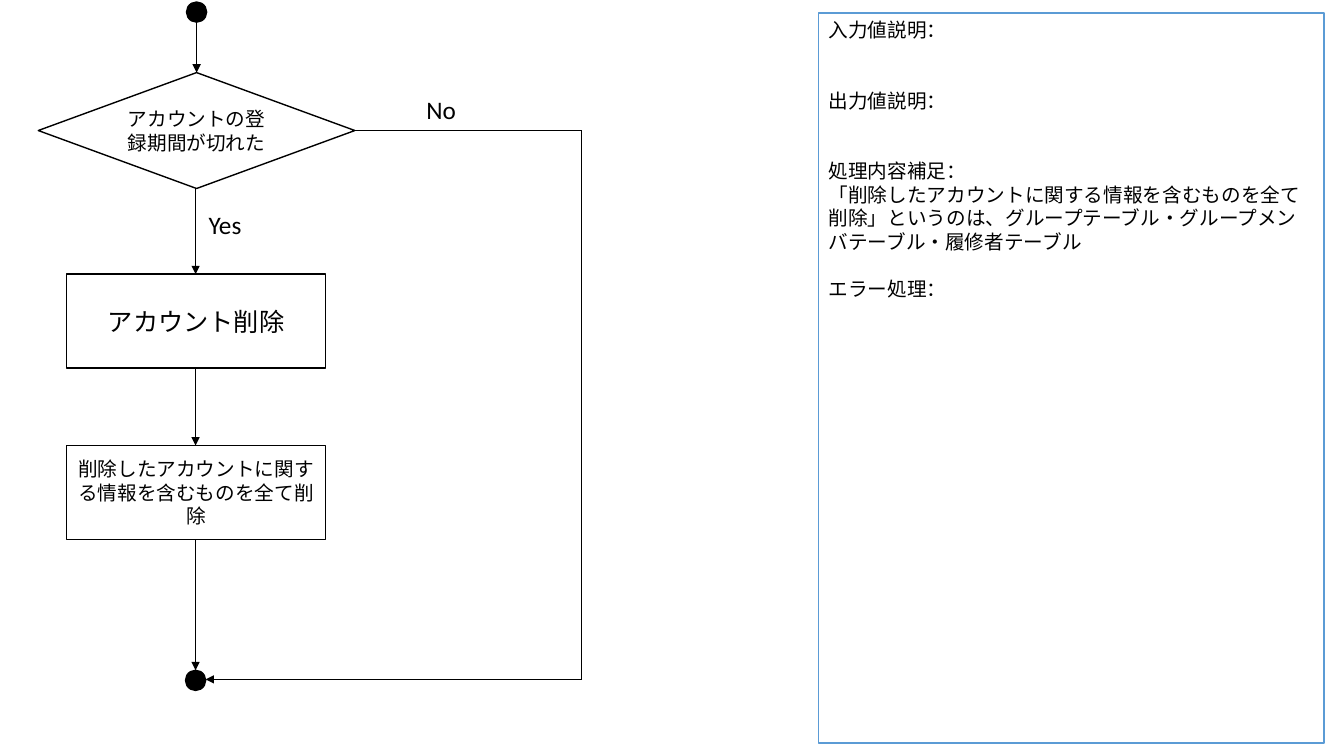
"""Build the account deletion flowchart slide."""
import pptx
import pptx.dml.color
import pptx.enum.shapes
import pptx.enum.text
import pptx.oxml.ns
import pptx.util
from lxml import etree

Inches = pptx.util.Inches
Pt = pptx.util.Pt
Shapes = pptx.enum.shapes.MSO_SHAPE
Align = pptx.enum.text.PP_ALIGN
Anchor = pptx.enum.text.MSO_ANCHOR
qn = pptx.oxml.ns.qn


def color(value):
    return pptx.dml.color.RGBColor.from_string(value)


def apply(target, values):
    for name, value in values.items():
        setattr(target, name, value)


class FlowSlide:
    font_name = "Calibri"
    ink = "000000"
    paper = "FFFFFF"

    def __init__(self, presentation):
        self.slide = presentation.slides.add_slide(presentation.slide_layouts[6])

    def add_text(self, shape, paragraphs, size, align, anchor):
        frame = shape.text_frame
        apply(frame, {"word_wrap": True, "vertical_anchor": anchor})
        for index, (text, space) in enumerate(paragraphs):
            paragraph = frame.add_paragraph() if index else frame.paragraphs[0]
            apply(paragraph, {"alignment": align, "space_before": Pt(space)})
            run = paragraph.add_run()
            run.text = text
            apply(run.font, {"name": self.font_name, "size": Pt(size)})
            run.font.color.rgb = color(self.ink)

    def shape(self, kind, box, fill=paper, line=ink):
        shape = self.slide.shapes.add_shape(kind, *map(Inches, box))
        shape.shadow.inherit = False
        shape.fill.solid()
        shape.fill.fore_color.rgb = color(fill)
        shape.line.color.rgb = color(line)
        shape.line.width = Pt(1)
        return shape

    def dot(self, left, top):
        self.shape(Shapes.OVAL, (left, top, 0.2, 0.2), fill=self.ink)

    def step(self, kind, box, text, size):
        shape = self.shape(kind, box)
        self.add_text(shape, [(text, 0)], size, Align.CENTER, Anchor.MIDDLE)

    def note(self, box, paragraphs, line):
        shape = self.shape(Shapes.FLOWCHART_PROCESS, box, line=line)
        self.add_text(shape, paragraphs, 14, Align.LEFT, Anchor.TOP)

    def label(self, left, top, text):
        box = self.slide.shapes.add_textbox(*map(Inches, (left, top, 0.62, 0.4)))
        self.add_text(box, [(text, 0)], 18, Align.LEFT, Anchor.TOP)

    def line(self, start, end, arrow=True):
        connector = self.slide.shapes.add_connector(
            pptx.enum.shapes.MSO_CONNECTOR.STRAIGHT, *map(Inches, (*start, *end)))
        connector.line.color.rgb = color(self.ink)
        connector.line.width = Pt(0.5)
        if arrow:
            outline = connector.line._get_or_add_ln()
            etree.SubElement(outline, qn("a:tailEnd"), type="triangle")
        etree.SubElement(connector._element.spPr, qn("a:effectLst"))


presentation = pptx.Presentation()
apply(presentation, {"slide_width": Inches(13.33), "slide_height": Inches(7.5)})
flow = FlowSlide(presentation)

center = 1.94
step_left, step_width, step_height = 0.66, 2.57, 0.93
delete_top, related_top = 2.72, 4.42
decision_bottom, end_top = 1.87, 6.65
branch_x, branch_top, branch_bottom = 5.77, 1.29, 6.74

flow.dot(1.85, 0.02)
flow.dot(1.84, end_top)
flow.step(Shapes.FLOWCHART_DECISION, (0.38, 0.72, 3.14, 1.15),
          "アカウントの登録期間が切れた", 14)
for top, text, size in [
    (delete_top, "アカウント削除", 18),
    (related_top, "削除したアカウントに関する情報を含むものを全て削除", 14),
]:
    flow.step(Shapes.FLOWCHART_PROCESS,
              (step_left, top, step_width, step_height), text, size)

flow.line((1.95, 0.22), (1.95, 0.72))
for top, bottom in [
    (decision_bottom, delete_top),
    (delete_top + step_height, related_top),
    (related_top + step_height, end_top),
]:
    flow.line((center, top), (center, bottom))

flow.line((3.52, branch_top), (branch_x, branch_top), arrow=False)
flow.line((branch_x, branch_top), (branch_x, branch_bottom), arrow=False)
flow.line((branch_x, branch_bottom), (2.04, branch_bottom))

flow.label(1.97, 2.03, "Yes")
flow.label(4.13, 0.89, "No")

line_gap = 16.8
flow.note((8.12, 0.13, 5.01, 7.24), [
    ("入力値説明：", 0),
    ("出力値説明：", 2 * line_gap),
    ("処理内容補足：", 2 * line_gap),
    ("「削除したアカウントに関する情報を含むものを全て削除」というのは、"
     "グループテーブル・グループメンバテーブル・履修者テーブル", 0),
    ("エラー処理：", line_gap),
], "5B9BD5")

presentation.save("out.pptx")
